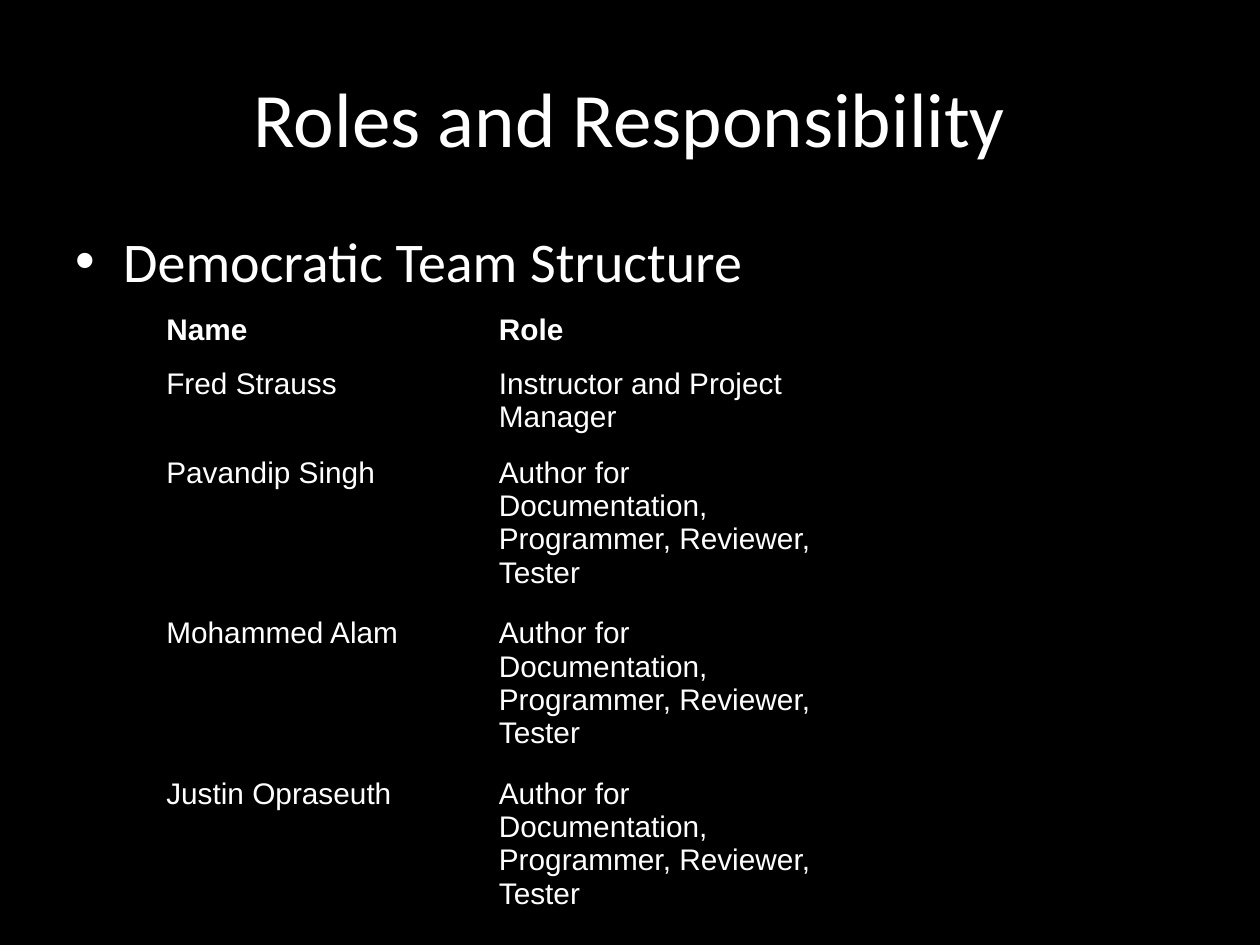
import pptx
import pptx.dml.color
import pptx.enum.text
import pptx.oxml
import pptx.oxml.ns
import pptx.util
from pptx.util import Inches

COLORS = {"background": "000000", "text": "FFFFFF", "border": "000000"}
AUTHOR_ROLE = ["Author for Documentation,", "Programmer, Reviewer, Tester"]
TEAM = [
    (["Name"], ["Role"]),
    (["Fred Strauss"], ["Instructor and Project Manager"]),
    (["Pavandip Singh"], AUTHOR_ROLE),
    (["Mohammed Alam"], AUTHOR_ROLE),
    (["Justin Opraseuth"], AUTHOR_ROLE),
]
ROW_HEIGHTS = [0.27, 0.46, 0.83, 0.83, 0.83]


def rgb(name):
    """Return the named palette colour."""
    return pptx.dml.color.RGBColor.from_string(COLORS[name])


def write(para, text, size, font="Calibri", bold=False, align=None):
    """Write formatted text into a paragraph."""
    para.alignment = align
    span = para.add_run()
    span.text = text
    span.font.size = pptx.util.Pt(size)
    span.font.name = font
    span.font.bold = bold
    span.font.color.rgb = rgb("text")


def add_bullet(para, indent):
    """Give a paragraph a round bullet with a hanging indent."""
    props = para._p.get_or_add_pPr()
    props.set("marL", str(indent))
    props.set("indent", str(-indent))
    namespace = pptx.oxml.ns.nsdecls("a")
    for xml in (
        f'<a:buClr {namespace}><a:srgbClr val="{COLORS["text"]}"/></a:buClr>',
        f'<a:buFont {namespace} typeface="Arial"/>',
        f'<a:buChar {namespace} char="•"/>',
    ):
        props.append(pptx.oxml.parse_xml(xml))


def add_borders(cell):
    """Draw a thin line on each side of a table cell."""
    props = cell._tc.get_or_add_tcPr()
    for position, side in enumerate(("lnL", "lnR", "lnT", "lnB")):
        props.insert(position, pptx.oxml.parse_xml(
            f'<a:{side} {pptx.oxml.ns.nsdecls("a")} w="{pptx.util.Pt(0.75)}">'
            f'<a:solidFill><a:srgbClr val="{COLORS["border"]}"/></a:solidFill>'
            f'</a:{side}>'))


def add_text_frame(slide, left, top, width, height):
    """Add a wrapping text box and return its frame."""
    box = slide.shapes.add_textbox(left, top, width, height)
    box.text_frame.word_wrap = True
    return box.text_frame


def add_title(slide, left, top, width, height):
    """Place the centred slide title."""
    frame = add_text_frame(slide, left, top, width, height)
    frame.vertical_anchor = pptx.enum.text.MSO_ANCHOR.MIDDLE
    write(frame.paragraphs[0], "Roles and Responsibility", 44,
          align=pptx.enum.text.PP_ALIGN.CENTER)


def add_body(slide, left, top, width, height):
    """Place the bulleted team structure line."""
    para = add_text_frame(slide, left, top, width, height).paragraphs[0]
    write(para, "Democratic Team Structure", 32)
    add_bullet(para, Inches(0.38))


def fill_cell(cell, lines, bold):
    """Fill one cell with a paragraph for each line."""
    cell.margin_left = cell.margin_right = Inches(0.07)
    cell.margin_top = cell.margin_bottom = Inches(0.07)
    cell.fill.background()
    add_borders(cell)
    frame = cell.text_frame
    for index, line in enumerate(lines):
        para = frame.add_paragraph() if index else frame.paragraphs[0]
        write(para, line, 17, font="Arial", bold=bold)


def add_team_table(slide, left, top, width, height):
    """Place the table of team members and their roles."""
    holder = slide.shapes.add_table(len(TEAM), 2, left, top, width, height)
    table = holder.table
    table.horz_banding = False
    table.first_row = False
    for row_index, member in enumerate(TEAM):
        table.rows[row_index].height = Inches(ROW_HEIGHTS[row_index])
        for column_index, lines in enumerate(member):
            fill_cell(table.cell(row_index, column_index), lines, row_index == 0)
    holder.height = height


def main():
    """Build and save the deck."""
    deck = pptx.Presentation()
    deck.slide_width, deck.slide_height = Inches(10), Inches(7.5)
    slide = deck.slides.add_slide(deck.slide_layouts[6])
    slide.background.fill.solid()
    slide.background.fill.fore_color.rgb = rgb("background")
    add_title(slide, Inches(0.5), Inches(0.3), Inches(9), Inches(1.25))
    add_body(slide, Inches(0.5), Inches(1.75), Inches(9), Inches(4.95))
    add_team_table(slide, Inches(1.25), Inches(2.42), Inches(5.28), Inches(4.94))
    deck.save("out.pptx")


if __name__ == "__main__":
    main()
